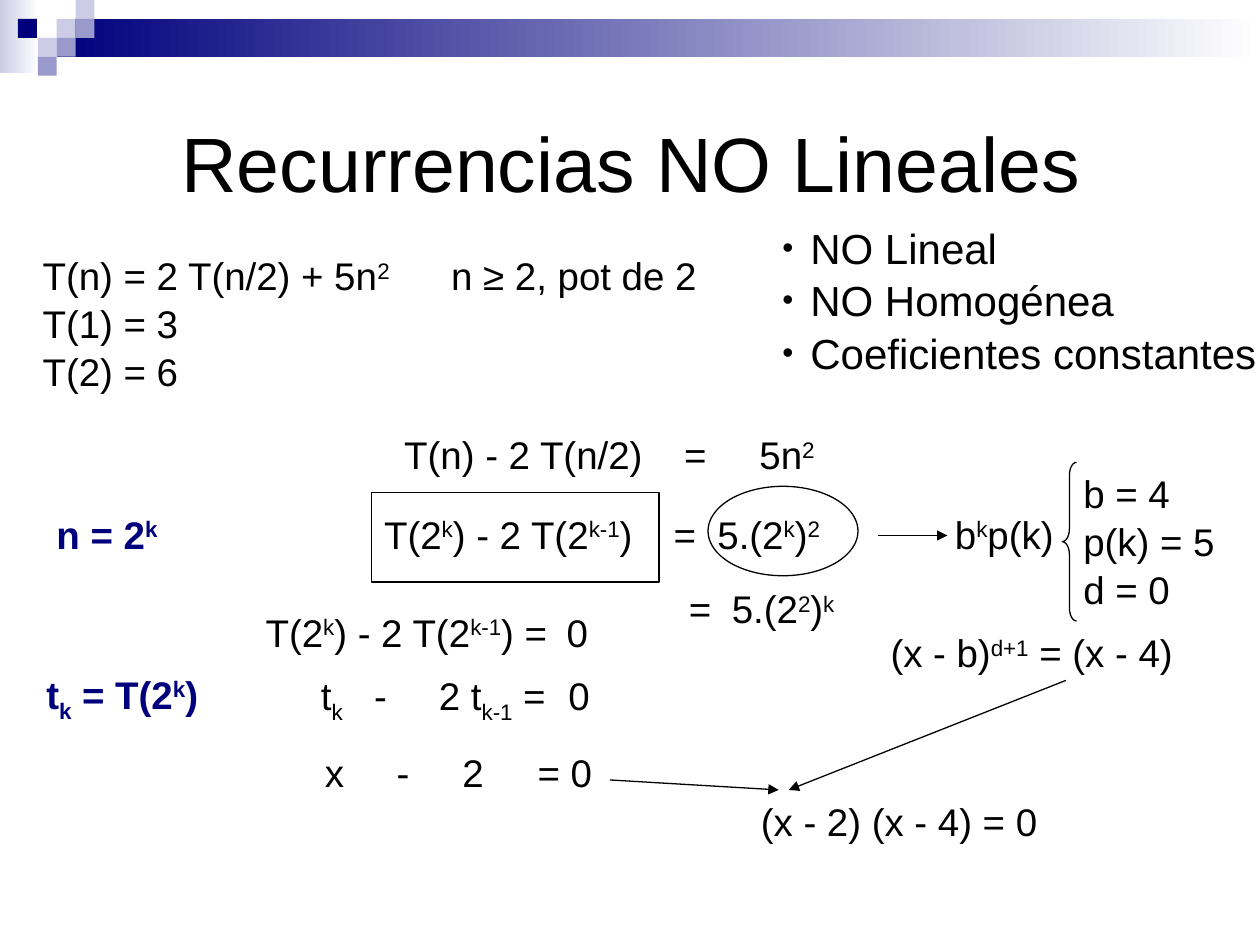
from typing import NamedTuple

from lxml import etree
from pptx import Presentation
from pptx.dml.color import RGBColor
from pptx.enum import shapes, text
from pptx.oxml import ns
from pptx.util import Pt

BLACK = RGBColor(0x00, 0x00, 0x00)
WHITE = RGBColor(0xFF, 0xFF, 0xFF)
NAVY = RGBColor(0x00, 0x00, 0x7D)
LAVENDER = RGBColor(0xCC, 0xCC, 0xE6)
PERIWINKLE = RGBColor(0x99, 0x99, 0xCC)

FONT = "Arial"
CELL = 10.8
LINE_WIDTH = 0.75
BASELINES = {"^": "30000", "_": "-25000"}


class Band(NamedTuple):
    left: float
    top: float
    width: float
    height: float
    start: RGBColor


class Square(NamedTuple):
    column: float
    row: int
    color: RGBColor


class Formula(NamedTuple):
    """Lines of "|"-separated spans; "^" raises a span and "_" lowers it."""
    left: float
    top: float
    width: float
    height: float
    lines: list[str]
    tabs: tuple[float, ...] = ()
    color: RGBColor = BLACK
    bold: bool = False
    size: float = 22


class Outline(NamedTuple):
    kind: shapes.MSO_SHAPE
    left: float
    top: float
    width: float
    height: float


class Arrow(NamedTuple):
    x1: float
    y1: float
    x2: float
    y2: float


BANDS = [
    Band(0, 0, 22.3, 41.8, LAVENDER),
    Band(32.4, 10.8, 687.6, 21.6, NAVY),
]
SQUARES = [
    Square(3, 1, LAVENDER),
    Square(4, 0, LAVENDER),
    Square(4, 1, PERIWINKLE),
    Square(2, 2, LAVENDER),
    Square(0.95, 1, NAVY),
    Square(3, 2, PERIWINKLE),
    Square(2, 3, PERIWINKLE),
]
PROPERTIES = Formula(440, 122.4, 300, 93.6,
                     ["NO Lineal", "NO Homogénea", "Coeficientes constantes"], size=24)
FORMULAS = [
    Formula(17.3, 139.7, 390, 86.4,
            ["T(n) = 2 T(n/2) + 5n|^2|\tn ≥ 2, pot de 2", "T(1) = 3", "T(2) = 6"], (233.5,)),
    Formula(223.9, 242, 267, 33.8, ["T(n) - 2 T(n/2)\t=\t5n|^2"], (160, 203)),
    Formula(25.2, 287.3, 113, 33.8, ["n = 2|^k"], color=NAVY, bold=True),
    Formula(212.4, 287.3, 289, 33.8,
            ["T(2|^k|) - 2 T(2|^k-1|)\t=\t5.(2|^k|)|^2"], (165.5, 190.5)),
    Formula(538.6, 287.3, 79, 33.8, ["b|^k|p(k)"]),
    Formula(612, 264.2, 111, 86.4, ["b = 4", "p(k) = 5", "d = 0"]),
    Formula(386.6, 329.8, 104, 33.8, ["=\t5.(2|^2|)|^k"], (24.5,)),
    Formula(144.7, 343.4, 233, 33.8, ["T(2|^k|) - 2 T(2|^k-1|) =\t0"], (172,)),
    Formula(501.8, 355, 212, 33.8, ["(x - b)|^d+1| = (x - 4)"]),
    Formula(19.4, 378.7, 130, 37.4, ["t|_k| = T(2|^k|)"], color=NAVY, bold=True),
    Formula(176.3, 379.4, 236, 37.4, ["t|_k|\t-\t2 t|_k-1| =\t0"], (30.5, 67.5, 141.5)),
    Formula(178.6, 423.4, 215, 33.8, ["x\t-\t2\t= 0"], (41, 78.5, 121.5)),
    Formula(427.7, 451.4, 250, 33.8, ["(x - 2) (x - 4) = 0"]),
]
OUTLINES = [
    Outline(shapes.MSO_SHAPE.OVAL, 404.6, 277.9, 85.7, 51.1),
    Outline(shapes.MSO_SHAPE.RECTANGLE, 212.4, 281.5, 164.2, 51.1),
    Outline(shapes.MSO_SHAPE.LEFT_BRACE, 607, 264.2, 8.2, 90.7),
]
ARROWS = [
    Arrow(501.8, 306, 541.4, 306),
    Arrow(348.5, 445.7, 445, 451.4),
    Arrow(609.1, 388.8, 450.7, 451.4),
]


def add_preset(page, kind, left: float, top: float, width: float, height: float):
    shape = page.shapes.add_shape(kind, Pt(left), Pt(top), Pt(width), Pt(height))
    shape.shadow.inherit = False
    return shape


def add_band(page, band: Band) -> None:
    """Draw a bar that fades to white from left to right."""
    shape = add_preset(page, shapes.MSO_SHAPE.RECTANGLE, *band[:4])
    shape.line.fill.background()
    shape.fill.gradient()
    shape.fill.gradient_angle = 0
    for stop, color in zip(shape.fill.gradient_stops, (band.start, WHITE)):
        stop.color.rgb = color


def add_square(page, square: Square) -> None:
    shape = add_preset(page, shapes.MSO_SHAPE.RECTANGLE,
                       square.column * CELL, square.row * CELL, CELL, CELL)
    shape.line.fill.background()
    shape.fill.solid()
    shape.fill.fore_color.rgb = square.color


def add_outline(page, outline: Outline) -> None:
    shape = add_preset(page, *outline)
    shape.fill.background()
    shape.line.color.rgb = BLACK
    shape.line.width = Pt(LINE_WIDTH)
    if outline.kind == shapes.MSO_SHAPE.LEFT_BRACE:
        shape.adjustments[0] = 0.9


def set_tabs(para, stops: tuple[float, ...]) -> None:
    tab_list = etree.SubElement(para._p.get_or_add_pPr(), ns.qn("a:tabLst"))
    for stop in stops:
        etree.SubElement(tab_list, ns.qn("a:tab"), pos=str(Pt(stop)), algn="l")


def set_bullet(para) -> None:
    props = para._p.get_or_add_pPr()
    props.set("marL", str(Pt(16)))
    props.set("indent", str(-Pt(16)))
    etree.SubElement(props, ns.qn("a:buSzPct"), val="75000")
    etree.SubElement(props, ns.qn("a:buFont"), typeface=FONT)
    etree.SubElement(props, ns.qn("a:buChar"), char="•")


def add_formula(page, formula: Formula):
    box = page.shapes.add_textbox(*map(Pt, formula[:4]))
    frame = box.text_frame
    frame.word_wrap = True
    for index, line in enumerate(formula.lines):
        para = frame.add_paragraph() if index else frame.paragraphs[0]
        para.line_spacing = 1.04
        if formula.tabs:
            set_tabs(para, formula.tabs)
        para.font.name = FONT
        para.font.size = Pt(formula.size)
        para.font.bold = formula.bold
        para.font.color.rgb = formula.color
        for part in line.split("|"):
            span = para.add_run()
            span.text = part.lstrip("^_")
            if part[0] in BASELINES:
                span._r.get_or_add_rPr().set("baseline", BASELINES[part[0]])
    return frame


def add_arrow(page, arrow: Arrow) -> None:
    connector = page.shapes.add_connector(shapes.MSO_CONNECTOR.STRAIGHT, *map(Pt, arrow))
    connector.line.color.rgb = BLACK
    connector.line.width = Pt(LINE_WIDTH)
    etree.SubElement(connector.line._get_or_add_ln(), ns.qn("a:tailEnd"), type="triangle")
    etree.SubElement(connector._element.spPr, ns.qn("a:effectLst"))


def main() -> None:
    deck = Presentation()
    deck.slide_width, deck.slide_height = Pt(720), Pt(540)
    page = deck.slides.add_slide(deck.slide_layouts[6])

    for band in BANDS:
        add_band(page, band)
    for square in SQUARES:
        add_square(page, square)

    title = add_formula(page, Formula(36.7, 37.4, 648, 108, ["Recurrencias NO Lineales"], size=44))
    title.vertical_anchor = text.MSO_ANCHOR.MIDDLE
    title.paragraphs[0].alignment = text.PP_ALIGN.CENTER

    for para in add_formula(page, PROPERTIES).paragraphs:
        set_bullet(para)
    for outline in OUTLINES:
        add_outline(page, outline)
    for formula in FORMULAS:
        add_formula(page, formula)
    for arrow in ARROWS:
        add_arrow(page, arrow)

    deck.save("out.pptx")


if __name__ == "__main__":
    main()
